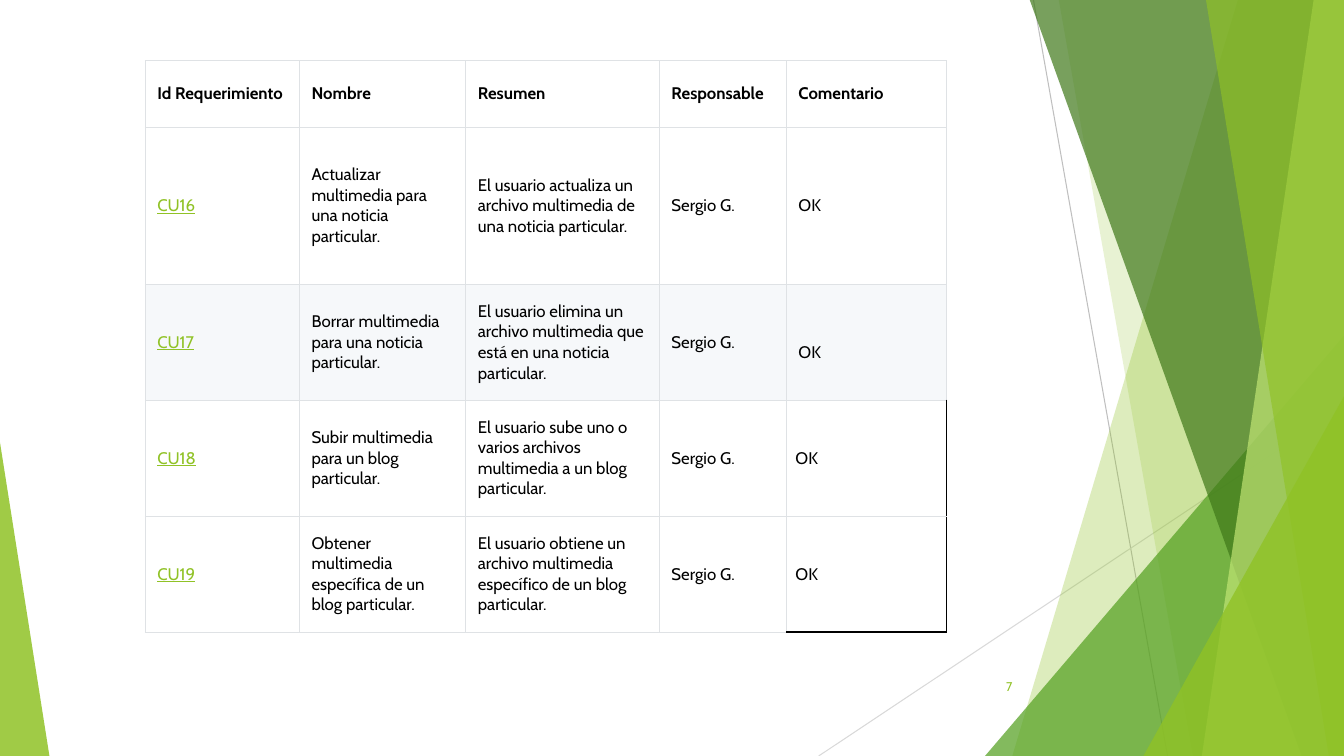
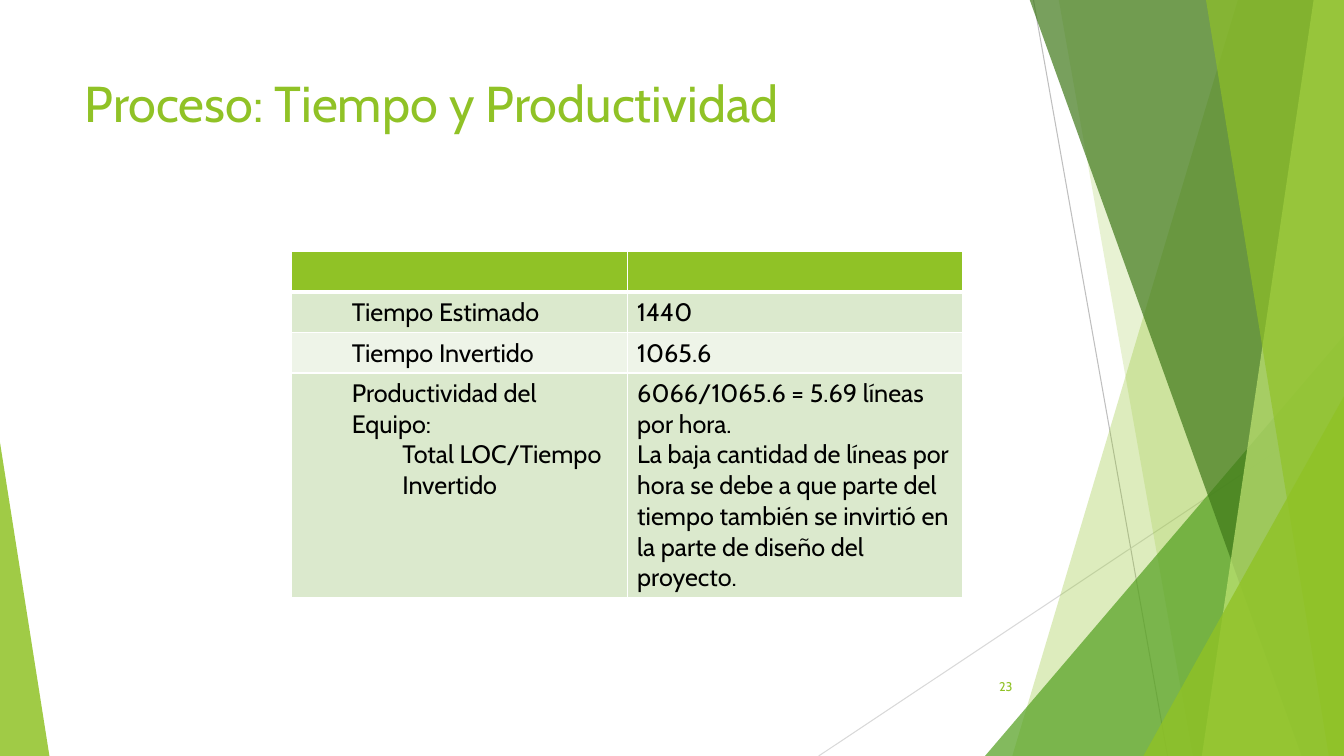
"""Build two slides with tables over a faceted green master."""
from dataclasses import dataclass

from lxml import etree
from pptx import Presentation
from pptx.dml.color import RGBColor
from pptx.enum.shapes import MSO_CONNECTOR, MSO_SHAPE
from pptx.enum.text import MSO_ANCHOR, PP_ALIGN
from pptx.oxml.ns import qn
from pptx.util import Pt

PX = 9144
WIDTH, HEIGHT = 1333, 750
TITLE_ONLY, BLANK = 5, 6
STRAIGHT = MSO_CONNECTOR.STRAIGHT
TRIANGLE = MSO_SHAPE.RIGHT_TRIANGLE, MSO_SHAPE.ISOSCELES_TRIANGLE
TOP, MIDDLE = MSO_ANCHOR.TOP, MSO_ANCHOR.MIDDLE
LEFT, RIGHT = PP_ALIGN.LEFT, PP_ALIGN.RIGHT


@dataclass(frozen=True)
class Theme:
    font: str = "Cabin"
    green: str = "90C226"
    leaf: str = "54A021"
    forest: str = "3F7819"
    lime: str = "C0E474"
    black: str = "000000"
    white: str = "FFFFFF"
    stripe: str = "F6F8FA"
    rule: str = "DFE2E5"
    band_dark: str = "DBE9CD"
    band_light: str = "EEF4E8"
    line_dark: str = "BFBFBF"
    line_light: str = "D9D9D9"
    title: int = 36
    large: int = 18
    small: int = 12
    number: int = 9


T = Theme()

LINES = [
    ((1025, 0), (1158, HEIGHT), T.line_dark),
    ((WIDTH, 403), (812, HEIGHT), T.line_light),
]
FACETS = [
    ("band", 1228, 1004, T.green, 30),
    ("band", 1050, 1183, T.green, 20),
    ("triangle", (977, 333, 356, 417), 1, T.leaf, 72),
    ("band", 1021, 1291, T.forest, 70),
    ("band", 1303, 1192, T.lime, 70),
    ("band", 1196, 1318, T.green, 65),
    ("triangle", (1134, 393, 199, 357), 1, T.green, 80),
    ("triangle", (0, 439, 49, 311), 0, T.green, 85),
]

HEADINGS = ["Id Requerimiento", "Nombre", "Resumen", "Responsable", "Comentario"]
REQUIREMENTS = [
    ("CU16", "Actualizar multimedia para una noticia particular.",
     "El usuario actualiza un archivo multimedia de una noticia particular."),
    ("CU17", "Borrar multimedia para una noticia particular.",
     "El usuario elimina un archivo multimedia que está en una noticia particular."),
    ("CU18", "Subir multimedia para un blog particular.",
     "El usuario sube uno o varios archivos multimedia a un blog particular."),
    ("CU19", "Obtener multimedia específica de un blog particular.",
     "El usuario obtiene un archivo multimedia específico de un blog particular."),
]
PRODUCTIVITY = [
    (["Tiempo Estimado"], ["1440"]),
    (["Tiempo Invertido"], ["1065.6"]),
    (["Productividad del Equipo:", "Total LOC/Tiempo Invertido"],
     ["6066/1065.6 = 5.69 líneas por hora.",
      "La baja cantidad de líneas por hora se debe a que parte del tiempo "
      "también se invirtió en la parte de diseño del proyecto."]),
]


def px(*values):
    return [v * PX for v in values]


def rgb(color):
    return RGBColor.from_string(color)


def write(p, text, size, color=T.black, bold=False, underline=False,
          align=LEFT, indent=0):
    p.alignment = align
    if indent:
        pPr = p._p.get_or_add_pPr()
        pPr.set("marL", str(indent * PX))
        pPr.set("indent", "0")
    r = p.add_run()
    r.text = text
    r.font.name = T.font
    r.font.size = Pt(size)
    r.font.bold = bold
    r.font.underline = underline
    r.font.color.rgb = rgb(color)


def paint(sp, color, opacity):
    sp.shadow.inherit = False
    sp.fill.solid()
    sp.fill.fore_color.rgb = rgb(color)
    clr = sp._element.spPr.find(".//" + qn("a:srgbClr"))
    etree.SubElement(clr, qn("a:alpha"), val=str(opacity * 1000))
    sp.line.fill.background()


def add_line(shapes, start, end, color):
    line = shapes.add_connector(STRAIGHT, *px(*start, *end))
    line.line.color.rgb = rgb(color)
    line.line.width = Pt(0.75)
    etree.SubElement(line._element.spPr, qn("a:effectLst"))
    return line


def add_band(shapes, top_x, bottom_x, color, opacity):
    path = shapes.build_freeform(*px(top_x, -1))
    corners = [(WIDTH, -1), (WIDTH, HEIGHT), (bottom_x, HEIGHT)]
    path.add_line_segments([px(*c) for c in corners], close=True)
    sp = path.convert_to_shape()
    paint(sp, color, opacity)
    return sp


def add_triangle(shapes, box, apex, color, opacity):
    sp = shapes.add_shape(TRIANGLE[1], *px(*box))
    sp.adjustments[0] = apex
    paint(sp, color, opacity)
    return sp


def decorate_master(prs, slide):
    shapes = slide.shapes
    makers = {"band": add_band, "triangle": add_triangle}
    parts = [add_line(shapes, *line) for line in LINES]
    parts += [makers[kind](shapes, *args) for kind, *args in FACETS]
    tree = prs.slide_master.shapes.element
    for i, sp in enumerate(parts):
        tree.insert(2 + i, sp._element)


def add_title(slide, text):
    sp = slide.shapes.title
    sp.left, sp.top, sp.width, sp.height = px(74, 67, 940, 144)
    tf = sp.text_frame
    tf.vertical_anchor = TOP
    write(tf.paragraphs[0], text, T.title, T.green)


def add_number(slide, number):
    tf = slide.shapes.add_textbox(*px(939, 661, 75, 40)).text_frame
    tf.word_wrap = True
    tf.vertical_anchor = MIDDLE
    write(tf.paragraphs[0], number, T.number, T.green, align=RIGHT)


def add_table(slide, left, top, cols, rows):
    frame = slide.shapes.add_table(len(rows), len(cols),
                                   *px(left, top, sum(cols), sum(rows)))
    table = frame.table
    table.first_row = table.horz_banding = False
    for col, width in zip(table.columns, cols):
        col.width = width * PX
    for row, height in zip(table.rows, rows):
        row.height = height * PX
    return table


def style_cell(cell, fill, borders, anchor=TOP, insets=(10, 5, 10, 5)):
    cell.margin_left, cell.margin_top, cell.margin_right, cell.margin_bottom = px(*insets)
    cell.vertical_anchor = anchor
    tcPr = cell._tc.get_or_add_tcPr()
    for side in "LRTB":
        color, width = borders[side]
        ln = etree.SubElement(tcPr, qn("a:ln" + side), w=str(Pt(width)))
        solid = etree.SubElement(ln, qn("a:solidFill"))
        etree.SubElement(solid, qn("a:srgbClr"), val=color)
    if fill:
        cell.fill.solid()
        cell.fill.fore_color.rgb = rgb(fill)
    else:
        cell.fill.background()


def add_requirements(slide):
    table = add_table(slide, 144, 60, [153, 165, 192, 126, 159],
                      [66, 156, 115, 115, 115])
    rows = [HEADINGS] + [(*row, "Sergio G.", "OK") for row in REQUIREMENTS]
    last_row, last_col = len(rows) - 1, len(HEADINGS) - 1
    for i, row in enumerate(rows):
        for j, text in enumerate(row):
            borders = dict.fromkeys("LRTB", (T.rule, 0.75))
            fill = T.stripe if i == 2 else T.white
            insets = (12, 5, 12, 5)
            if j == last_col and i == 2:
                insets = (12, 25, 12, 5)
            elif j == last_col and i > 2:
                fill, insets = None, (9, 4, 9, 4)
                borders["R"] = (T.black, 1)
                if i == last_row:
                    borders["B"] = (T.black, 1)
            cell = table.cell(i, j)
            style_cell(cell, fill, borders, MIDDLE, insets)
            link = i > 0 and j == 0
            write(cell.text_frame.paragraphs[0], text, T.small,
                  T.green if link else T.black, bold=i == 0, underline=link)


def add_productivity(slide):
    table = add_table(slide, 289, 249, [333, 333], [41, 40, 40, 223])
    borders = dict.fromkeys("LRTB", (T.white, 1))
    for j in range(2):
        style_cell(table.cell(0, j), T.green, {**borders, "B": (T.white, 3)})
    for i, row in enumerate(PRODUCTIVITY, 1):
        for j, texts in enumerate(row):
            cell = table.cell(i, j)
            top = (T.white, 3 if i == 1 else 1)
            style_cell(cell, T.band_dark if i % 2 else T.band_light,
                       {**borders, "T": top})
            tf = cell.text_frame
            for k, text in enumerate(texts):
                p = tf.add_paragraph() if k else tf.paragraphs[0]
                write(p, text, T.large, indent=0 if j else 50 * (k + 1))


def main():
    prs = Presentation()
    prs.slide_width, prs.slide_height = px(WIDTH, HEIGHT)

    slide = prs.slides.add_slide(prs.slide_layouts[BLANK])
    decorate_master(prs, slide)
    add_number(slide, "7")
    add_requirements(slide)

    slide = prs.slides.add_slide(prs.slide_layouts[TITLE_ONLY])
    add_title(slide, "Proceso: Tiempo y Productividad")
    add_number(slide, "23")
    add_productivity(slide)

    prs.save("out.pptx")


if __name__ == "__main__":
    main()
